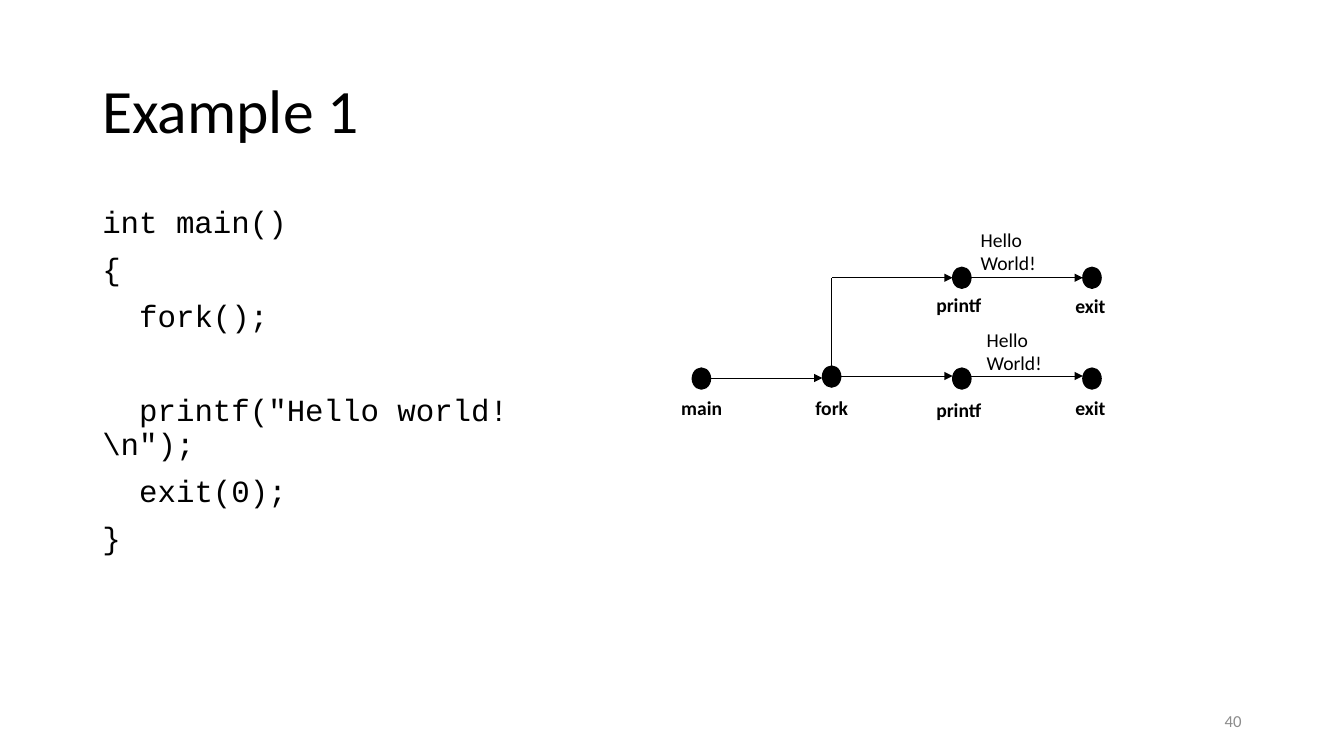
"""Build a slide that shows a fork example next to its process graph."""
from lxml.etree import SubElement
from pptx import Presentation
from pptx.dml.color import RGBColor
from pptx.enum.shapes import MSO_CONNECTOR, MSO_SHAPE
from pptx.enum.text import MSO_ANCHOR, PP_ALIGN
from pptx.oxml.ns import qn
from pptx.util import Pt

COLORS = {"ink": "000000", "muted": "8C8C8C"}
TITLE = "Example 1"
NUMBER = "40"
# text, indent in characters, space before
CODE = [
    ("int main()", 0, 10),
    ("{", 0, 10),
    ("fork();", 2, 10),
    ('printf("Hello world!\\n");', 2, 43.5),
    ("exit(0);", 2, 10),
    ("}", 0, 10),
]
CODE_SIZE, CHAR_W = 22, 13.2
COL_X, COL_STEP = 501, 93
DOT_W, DOT_H = 13, 15
# label, column, centre y, label left, label top, label width
EVENTS = [
    ("main", 0, 270.4, 479.5, 279.4, 51),
    ("fork", 1, 269, 575.3, 279.4, 51),
    ("printf", 2, 270.4, 661.7, 280.8, 51),
    ("exit", 3, 270.4, 761, 279.4, 37),
    ("printf", 2, 198.4, 661.7, 205.9, 51),
    ("exit", 3, 198.4, 761, 206.6, 37),
]
# from column, to column, y, starts at the dot's edge
ARROWS = [(0, 1, 270, True), (1, 2, 268.6, True), (2, 3, 268.6, True),
          (1, 2, 198.4, False), (2, 3, 198.4, True)]
OUTPUT = "Hello World!"
OUTPUT_AT = [(693.4, 159.1), (697.7, 230.4)]


def rgb(name):
    return RGBColor.from_string(COLORS[name])


def style(p, size, font="Calibri", color="ink", bold=False):
    p.font.size, p.font.name, p.font.bold = Pt(size), font, bold
    p.font.color.rgb = rgb(color)


def add_box(s, x, y, w, h, anchor=MSO_ANCHOR.TOP):
    tf = s.shapes.add_textbox(Pt(x), Pt(y), Pt(w), Pt(h)).text_frame
    tf.word_wrap, tf.vertical_anchor = True, anchor
    return tf


def add_text(s, text, x, y, w, h, size, anchor=MSO_ANCHOR.TOP, **look):
    p = add_box(s, x, y, w, h, anchor).paragraphs[0]
    p.text = text
    style(p, size, **look)
    return p


def add_line(s, x1, y1, x2, y2, arrow=True):
    ln = s.shapes.add_connector(MSO_CONNECTOR.STRAIGHT, Pt(x1), Pt(y1), Pt(x2), Pt(y2))
    ln.line.color.rgb, ln.line.width = rgb("ink"), Pt(0.5)
    if arrow:
        SubElement(ln.line._get_or_add_ln(), qn("a:tailEnd"), type="triangle")
    SubElement(ln._element.spPr, qn("a:effectLst"))


def add_dot(s, cx, cy):
    sp = s.shapes.add_shape(MSO_SHAPE.OVAL, Pt(cx - DOT_W / 2), Pt(cy - DOT_H / 2),
                            Pt(DOT_W), Pt(DOT_H))
    sp.shadow.inherit = False
    sp.fill.solid()
    sp.fill.fore_color.rgb = sp.line.color.rgb = rgb("ink")
    sp.line.width = Pt(1)


def add_code(s):
    tf = add_box(s, 66, 144, 348.5, 329)
    for i, (text, indent, before) in enumerate(CODE):
        p = tf.paragraphs[0] if i == 0 else tf.add_paragraph()
        p.text = text
        p.line_spacing, p.space_before = 0.9, Pt(before)
        style(p, CODE_SIZE, "Courier New")
        p._p.get_or_add_pPr().set("indent", str(Pt(indent * CHAR_W)))


def add_graph(s):
    xs = [COL_X + i * COL_STEP for i in range(4)]
    for a, b, y, from_edge in ARROWS:
        add_line(s, xs[a] + from_edge * DOT_W / 2, y, xs[b] - DOT_W / 2, y)
    add_line(s, xs[1], 261.5, xs[1], 198.4, arrow=False)
    for label, col, cy, x, y, w in EVENTS:
        add_dot(s, xs[col], cy)
        add_text(s, label, x, y, w, 24.3, 14, bold=True)
    for x, y in OUTPUT_AT:
        add_text(s, OUTPUT, x, y, 62.6, 41, 14)


def main():
    prs = Presentation()
    prs.slide_width, prs.slide_height = Pt(960), Pt(540)
    s = prs.slides.add_slide(prs.slide_layouts[6])
    p = add_text(s, TITLE, 66, 28.8, 828, 104.4, 44, MSO_ANCHOR.MIDDLE)
    p.line_spacing = 0.9
    add_code(s)
    add_graph(s)
    p = add_text(s, NUMBER, 678, 500.5, 216, 28.8, 12, MSO_ANCHOR.MIDDLE, color="muted")
    p.alignment = PP_ALIGN.RIGHT
    prs.save("out.pptx")


if __name__ == "__main__":
    main()
